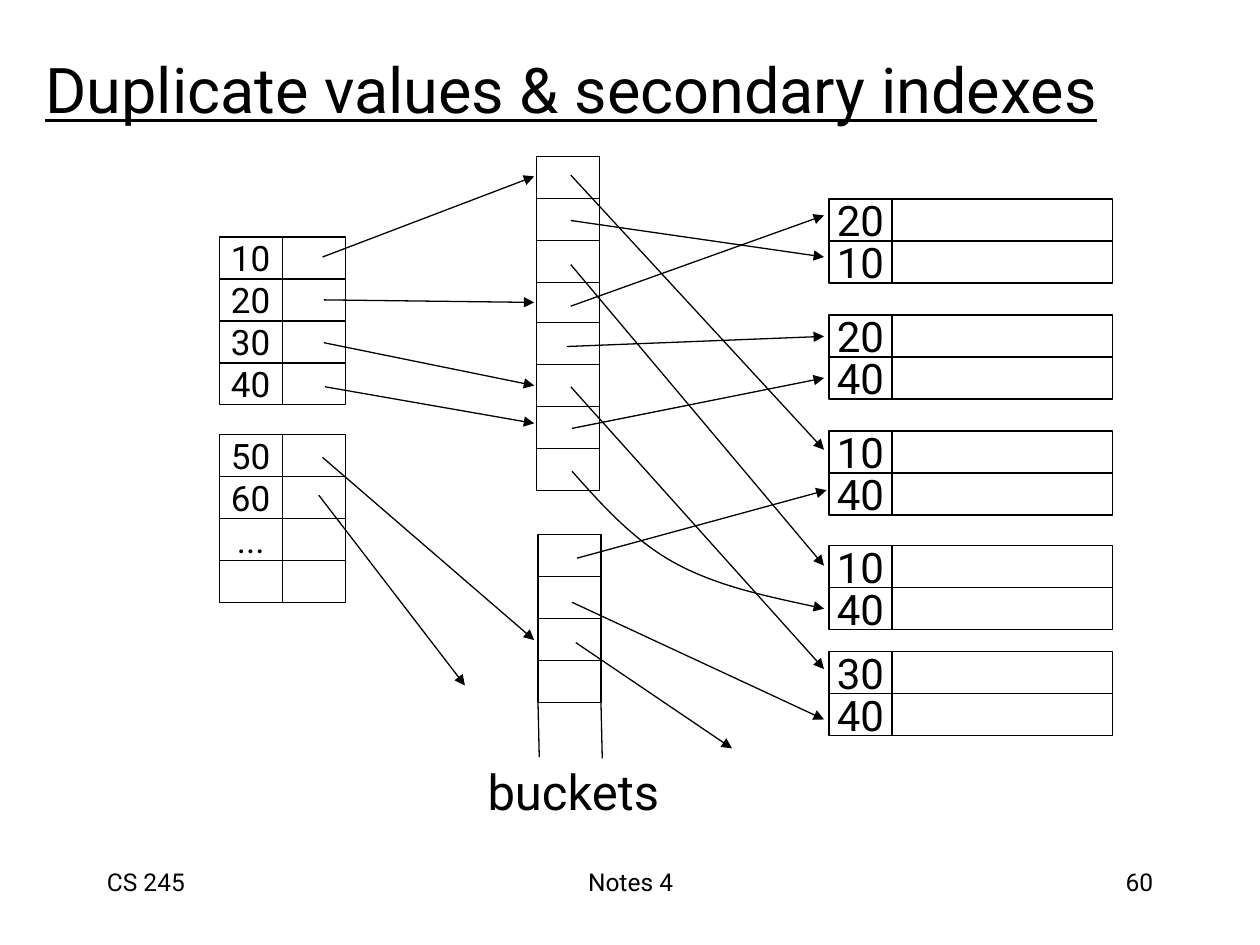
import pptx
import pptx.dml.color
import pptx.enum.shapes
import pptx.enum.text
import pptx.oxml
import pptx.oxml.ns
import pptx.util
from lxml import etree
from pptx.util import Inches

ALIGN = pptx.enum.text.PP_ALIGN
ANCHOR = pptx.enum.text.MSO_ANCHOR
FONT = "Roboto"
BLACK = "000000"
WHITE = "FFFFFF"
KEY_WIDTH = 0.5
ROW_HEIGHT = 1 / 3

INDEX_BLOCKS = [
    (1.88, ["10", "20", "30", "40"]),
    (3.45, ["50", "60", "...", ""]),
]
BUCKET_BLOCKS = [(4.26, 1.24), (4.26, 2.56), (4.27, 4.24)]
RECORD_BLOCKS = [
    (1.58, ["20", "10"]),
    (2.5, ["20", "40"]),
    (3.42, ["10", "40"]),
    (4.33, ["10", "40"]),
    (5.17, ["30", "40"]),
]
BUCKET_SIDES = [
    ((4.27, 5.57), (4.28, 6.01)),
    ((4.77, 5.58), (4.78, 6.02)),
]
INDEX_POINTERS = [
    ((2.56, 2.04), (4.24, 1.4)),
    ((2.57, 2.38), (4.24, 2.4)),
    ((2.57, 2.72), (4.24, 3.06)),
    ((2.58, 3.07), (4.24, 3.36)),
    ((2.56, 3.63), (4.24, 5.08)),
    ((2.53, 3.93), (3.69, 5.44)),
]
BUCKET_POINTERS = [
    ((4.53, 1.75), (6.54, 2.04)),
    ((4.53, 1.39), (6.54, 3.57)),
    ((4.53, 2.1), (6.54, 4.49)),
    ((4.53, 2.43), (6.54, 1.71)),
    ((4.5, 2.75), (6.54, 2.67)),
    ((4.53, 3.07), (6.54, 5.31)),
    ((4.54, 3.4), (6.54, 3)),
    ((4.54, 4.78), (6.54, 5.71)),
    ((4.58, 4.43), (6.56, 3.89)),
    ((4.57, 5.1), (5.81, 5.94)),
]
CURVED_POINTER = [
    (4.54, 3.74), (4.78, 4.01), (5.03, 4.29), (5.36, 4.47),
    (5.69, 4.65), (6.12, 4.74), (6.54, 4.83),
]


def color(value):
    return pptx.dml.color.RGBColor.from_string(value)


def write(frame, text, size, align, underline=False):
    para = frame.paragraphs[0]
    para.alignment = align
    span = para.add_run()
    span.text = text
    span.font.name = FONT
    span.font.size = pptx.util.Pt(size)
    span.font.color.rgb = color(BLACK)
    if underline:
        span.font.underline = True


def style_line(line):
    line.color.rgb = color(BLACK)
    line.width = pptx.util.Pt(0.75)


def add_arrowhead(line):
    tail = etree.SubElement(line._get_or_add_ln(), pptx.oxml.ns.qn("a:tailEnd"))
    tail.set("type", "triangle")


def set_title(page, text):
    title = page.shapes.title
    title.left, title.top = Inches(0.26), Inches(0.21)
    title.width, title.height = Inches(8.67), Inches(0.99)
    frame = title.text_frame
    frame.auto_size = pptx.enum.text.MSO_AUTO_SIZE.NONE
    frame.vertical_anchor = ANCHOR.MIDDLE
    write(frame, text, 36, ALIGN.LEFT, underline=True)


def add_text(page, text, left, top, width, height, size, align, wrap=True):
    box = page.shapes.add_textbox(
        Inches(left), Inches(top), Inches(width), Inches(height))
    frame = box.text_frame
    frame.word_wrap = wrap
    write(frame, text, size, align)
    return frame


def add_cell(block, left, top, width, text, size):
    cell = block.shapes.add_shape(
        pptx.enum.shapes.MSO_SHAPE.RECTANGLE,
        Inches(left), Inches(top), Inches(width), Inches(ROW_HEIGHT))
    cell.shadow.inherit = False
    cell.fill.solid()
    cell.fill.fore_color.rgb = color(WHITE)
    style_line(cell.line)
    if text:
        frame = cell.text_frame
        frame.word_wrap = False
        frame.vertical_anchor = ANCHOR.MIDDLE
        write(frame, text, size, ALIGN.CENTER)


def add_block(page, left, top, keys, size, value_width=0):
    block = page.shapes.add_group_shape()
    for row, key in enumerate(keys):
        row_top = top + row * ROW_HEIGHT
        add_cell(block, left, row_top, KEY_WIDTH, key, size)
        if value_width:
            add_cell(block, left + KEY_WIDTH, row_top, value_width, "", size)


def add_line(page, start, end, arrow=True):
    line = page.shapes.add_connector(
        pptx.enum.shapes.MSO_CONNECTOR.STRAIGHT,
        *(Inches(value) for value in (*start, *end)))
    style_line(line.line)
    if arrow:
        add_arrowhead(line.line)
    etree.SubElement(line._element.spPr, pptx.oxml.ns.qn("a:effectLst"))


def add_curve(page, points):
    start, *others = [(Inches(x), Inches(y)) for x, y in points]
    builder = page.shapes.build_freeform(*start)
    builder.add_line_segments(others, close=False)
    curve = builder.convert_to_shape()
    curve.shadow.inherit = False
    curve.fill.background()
    style_line(curve.line)
    add_arrowhead(curve.line)
    segments = list(curve._element.iter(pptx.oxml.ns.qn("a:lnTo")))
    outline = segments[0].getparent()
    for first in range(0, len(segments), 3):
        bend = etree.SubElement(outline, pptx.oxml.ns.qn("a:cubicBezTo"))
        for segment in segments[first:first + 3]:
            bend.append(segment[0])
            outline.remove(segment)


def main():
    deck = pptx.Presentation()
    deck.slide_width, deck.slide_height = Inches(10), Inches(7.5)
    page = deck.slides.add_slide(deck.slide_layouts[5])

    set_title(page, "Duplicate values & secondary indexes")
    add_text(page, "CS 245", 0.75, 6.83, 2.08, 0.5, 14, ALIGN.LEFT)
    add_text(page, "Notes 4", 3.42, 6.83, 3.17, 0.5, 14, ALIGN.CENTER)
    add_text(page, "60", 7.17, 6.83, 2.08, 0.5, 14, ALIGN.RIGHT)

    for top, keys in RECORD_BLOCKS:
        add_block(page, 6.58, top, keys, 24, value_width=1.75)
    for top, keys in INDEX_BLOCKS:
        add_block(page, 1.74, top, keys, 20, value_width=0.5)
    for left, top in BUCKET_BLOCKS:
        add_block(page, left, top, [""] * 4, 20)

    for start, end in BUCKET_SIDES:
        add_line(page, start, end, arrow=False)
    for start, end in INDEX_POINTERS + BUCKET_POINTERS:
        add_line(page, start, end)
    add_curve(page, CURVED_POINTER)

    label = add_text(
        page, "buckets", 3.74, 5.99, 1.62, 0.57, 28, ALIGN.CENTER, wrap=False)
    label.vertical_anchor = ANCHOR.MIDDLE
    label.auto_size = pptx.enum.text.MSO_AUTO_SIZE.SHAPE_TO_FIT_TEXT

    deck.save("out.pptx")


if __name__ == "__main__":
    main()
